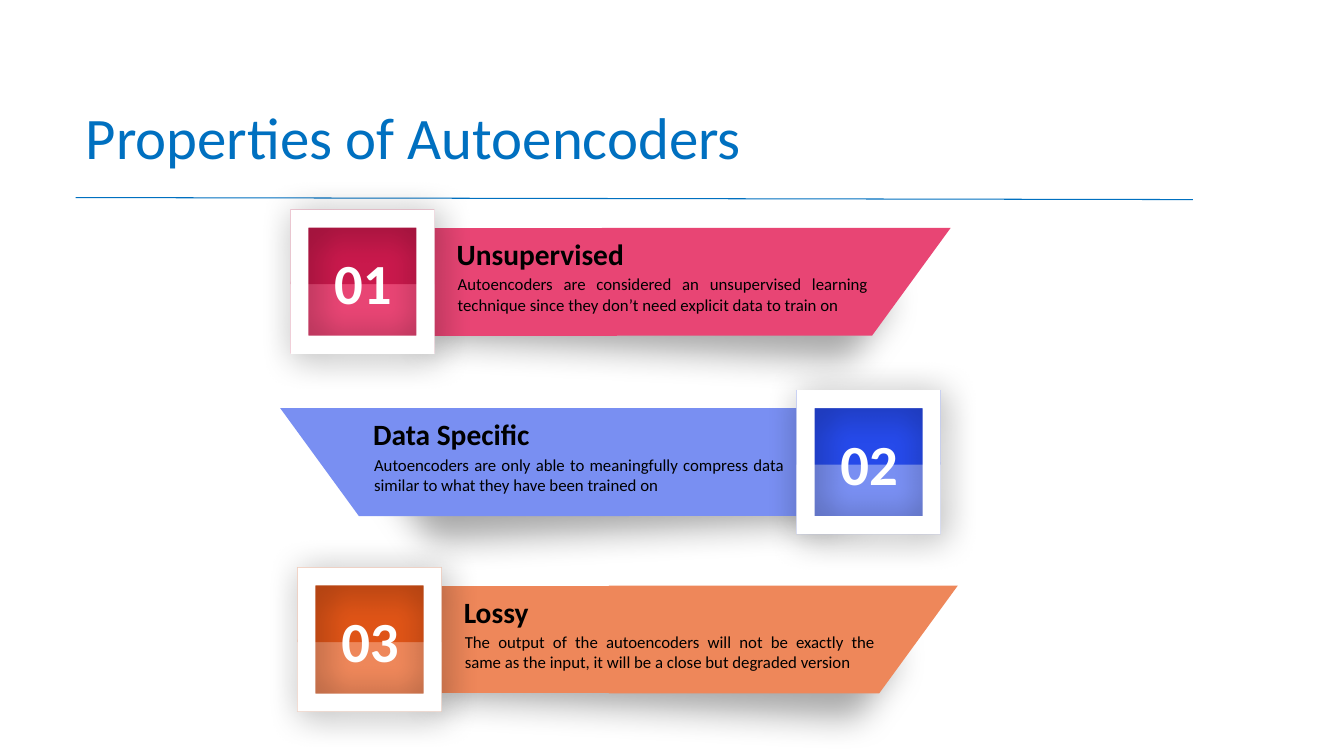
from pptx import Presentation, util as u
from pptx.dml.color import RGBColor
from pptx.enum import shapes, text
from pptx.oxml import parse_xml
from pptx.oxml.ns import nsdecls

W, H = 13.33, 7.5
MSO, AL, ANC = shapes.MSO_SHAPE, text.PP_ALIGN, text.MSO_ANCHOR


def style(sp, color, dist=None):
    """Plain fill without outline; dist in points adds a soft diagonal shadow."""
    sp.shadow.inherit = False
    sp.fill.solid()
    sp.fill.fore_color.rgb = RGBColor.from_string(color)
    sp.line.fill.background()
    if dist:
        sp._element.spPr.find("{*}effectLst").append(parse_xml(
            f'<a:outerShdw {nsdecls("a")} blurRad="{u.Pt(25)}" dist="{u.Pt(dist)}" '
            'dir="2700000" algn="tl" rotWithShape="0"><a:srgbClr val="000000">'
            '<a:alpha val="35000"/></a:srgbClr></a:outerShdw>'))


def write(sp, words, size, color, align=AL.LEFT, bold=False, anchor=ANC.MIDDLE,
          wrap=True, left=0.1, right=0.1):
    tf = sp.text_frame
    frame = {"word_wrap": wrap, "vertical_anchor": anchor,
             "margin_left": u.Inches(left), "margin_right": u.Inches(right)}
    for name, value in frame.items():
        setattr(tf, name, value)
    p = tf.paragraphs[0]
    p.alignment = align
    r = p.add_run()
    r.text = words
    for name, value in {"name": "Calibri", "size": u.Pt(size), "bold": bold}.items():
        setattr(r.font, name, value)
    r.font.color.rgb = RGBColor.from_string(color)


prs = Presentation()
prs.slide_width, prs.slide_height = u.Inches(W), u.Inches(H)
s = prs.slides.add_slide(prs.slide_layouts[5])

# Title and rule
title = s.shapes.title
title.left, title.top, title.width, title.height = map(u.Inches, (0.75, 0.72, 11.08, 1.25))
write(title, "Properties of Autoencoders", 42, "0070C0")
rule = s.shapes.add_connector(shapes.MSO_CONNECTOR.STRAIGHT,
                              *map(u.Inches, (0.75, 1.96, 11.83, 1.98)))
rule.line.color.rgb = RGBColor.from_string("0070C0")
rule.line.width = u.Pt(0.75)
rule._element.spPr.append(parse_xml(f'<a:effectLst {nsdecls("a")}/>'))

# Outlines of one banner, measured from the top left corner of its number tile
TILE, BAND = 1.43, 1.07
BAND_TOP, BAND_END = 0.18, 0.18 + BAND
shade = [(1.15, 0.33), (5.67, 0.53), (5.66, 0.74), (5.3, 1.24), (1.12, 1.04)]
tip = [(3.09, BAND_TOP), (6.55, BAND_TOP), (5.77, BAND_END), (3.09, BAND_END)]
stem = [(1.17, BAND_TOP), (3.24, BAND_TOP), (3.24, BAND_END), (1.17, BAND_END)]

# Tile left, tile top, direction of the banner, text left, colours, wording
rows = [
    (2.88, 2.08, 1, 4.53, "E84574", "C9194C", "Unsupervised",
     "Autoencoders are considered an unsupervised learning technique since "
     "they don’t need explicit data to train on"),
    (7.9, 3.87, -1, 3.7, "798FF2", "264AEA", "Data Specific",
     "Autoencoders are only able to meaningfully compress data similar to "
     "what they have been trained on"),
    (2.95, 5.63, 1, 4.6, "EE875A", "DF5417", "Lossy",
     "The output of the autoencoders will not be exactly the same as the "
     "input, it will be a close but degraded version"),
]

for number, (x, y, way, text_x, light, dark, heading, body) in enumerate(rows, 1):
    # Banner, mirrored when it points left
    edge = x if way > 0 else x + TILE
    for outline, color, dist in ((shade, "E84574", 25), (tip, light, None), (stem, light, None)):
        pts = [(u.Inches(edge + way * dx), u.Inches(y + dy)) for dx, dy in outline]
        fb = s.shapes.build_freeform(*pts[0])
        fb.add_line_segments(pts[1:])
        style(fb.convert_to_shape(), color, dist)

    # Two-tone number tile in a white frame
    for kind, top, height, color, dist in (
            (MSO.RECTANGLE, TILE / 2, TILE / 2, light, None),
            (MSO.RECTANGLE, 0, 0.74, dark, None),
            (MSO.FRAME, 0, TILE, "FFFFFF", 4)):
        sp = s.shapes.add_shape(kind, *map(u.Inches, (x, y + top, TILE, height)))
        style(sp, color, dist)
    sp = s.shapes.add_textbox(*map(u.Inches, (x + 0.33, y + 0.33, 0.78, 0.78)))
    write(sp, f"{number:02}", 40.5, "FFFFFF", AL.CENTER, True, wrap=False)

    # Heading and explanation
    group = s.shapes.add_group_shape()
    sp = group.shapes.add_textbox(*map(u.Inches, (text_x, y + 0.21, 4.08, 0.45)))
    write(sp, heading, 21, "000000", bold=True, left=0)
    sp = group.shapes.add_textbox(*map(u.Inches, (text_x + 0.01, y + 0.59, 4.07, 0.5)))
    write(sp, body, 12, "000000", AL.JUSTIFY, anchor=ANC.TOP, left=0, right=0)

prs.save("out.pptx")
